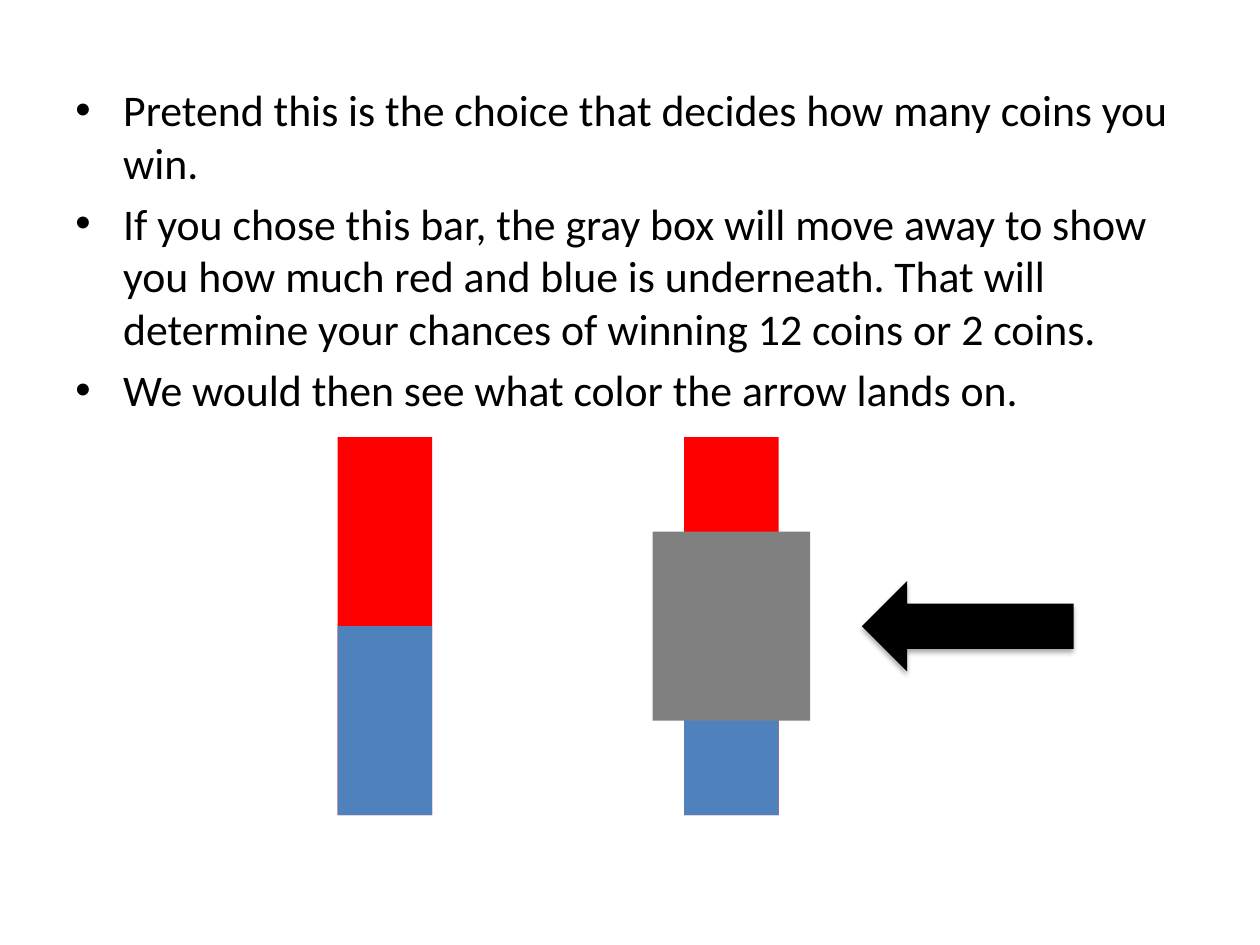
import pptx
import pptx.util
import pptx.oxml
import pptx.dml.color
import pptx.enum.shapes
import pptx.enum.text
from pptx.util import Inches

COLORS = {"red": "FF0000", "blue": "4F81BD", "gray": "808080", "black": "000000"}

# Content
BULLETS = [
    "Pretend this is the choice that decides how many coins you win.",
    "If you chose this bar, the gray box will move away to show you how much "
    "red and blue is underneath. That will determine your chances of winning "
    "12 coins or 2 coins.",
    "We would then see what color the arrow lands on.",
]
TEXT_FORMAT = {"name": "Calibri", "size": pptx.util.Pt(25)}
BARS = [  # left edge, covered by the gray box
    (2.68, False),
    (5.43, True),
]

# Geometry in inches
BAR_TOP, BAR_WIDTH, BAR_HEIGHT = 3.47, 0.75, 3
HALF = BAR_HEIGHT / 2
COVER_WIDTH = 1.25
ARROW_LEFT, ARROW_WIDTH, ARROW_HEIGHT = 6.84, 1.68, 0.72
INDENT = Inches(0.38)
SHADOW_BLUR, SHADOW_DISTANCE = pptx.util.Pt(3.1), pptx.util.Pt(1.8)

DRAWING = "http://schemas.openxmlformats.org/drawingml/2006/main"
SHAPES = pptx.enum.shapes.MSO_SHAPE


def add_block(shapes, preset, color, *place):
    block = shapes.add_shape(preset, *map(Inches, place))
    block.shadow.inherit = False
    block.fill.solid()
    block.fill.fore_color.rgb = pptx.dml.color.RGBColor.from_string(COLORS[color])
    block.line.fill.background()
    return block


def add_bar(page, left, covered):
    shapes = page.shapes.add_group_shape().shapes
    add_block(shapes, SHAPES.RECTANGLE, "red", left, BAR_TOP, BAR_WIDTH, BAR_HEIGHT)
    add_block(shapes, SHAPES.RECTANGLE, "blue", left, BAR_TOP + HALF, BAR_WIDTH, HALF)
    if covered:
        cover_left = left - (COVER_WIDTH - BAR_WIDTH) / 2
        add_block(shapes, SHAPES.RECTANGLE, "gray",
                  cover_left, BAR_TOP + HALF / 2, COVER_WIDTH, HALF)


def add_arrow(page):
    top = BAR_TOP + (BAR_HEIGHT - ARROW_HEIGHT) / 2
    arrow = add_block(page.shapes, SHAPES.LEFT_ARROW, "black",
                      ARROW_LEFT, top, ARROW_WIDTH, ARROW_HEIGHT)
    effects = arrow._element.spPr.find(f"{{{DRAWING}}}effectLst")
    effects.append(pptx.oxml.parse_xml(
        f'<a:outerShdw xmlns:a="{DRAWING}" blurRad="{SHADOW_BLUR}" '
        f'dist="{SHADOW_DISTANCE}" dir="5400000" rotWithShape="0">'
        f'<a:srgbClr val="{COLORS["black"]}"><a:alpha val="35000"/></a:srgbClr>'
        '</a:outerShdw>'))


def add_bullets(page):
    box = page.shapes.add_textbox(Inches(0.5), Inches(0.61), Inches(9), Inches(2.34))
    frame = box.text_frame
    frame.word_wrap = True
    frame.auto_size = pptx.enum.text.MSO_AUTO_SIZE.NONE
    for index, text in enumerate(BULLETS):
        para = frame.add_paragraph() if index else frame.paragraphs[0]
        para.space_before = pptx.util.Pt(5)
        props = para._p.get_or_add_pPr()
        props.set("marL", str(INDENT))
        props.set("indent", str(-INDENT))
        for tag, key, value in (("buFont", "typeface", "Arial"), ("buChar", "char", "•")):
            props.append(pptx.oxml.parse_xml(
                f'<a:{tag} xmlns:a="{DRAWING}" {key}="{value}"/>'))
        span = para.add_run()
        span.text = text
        for name, value in TEXT_FORMAT.items():
            setattr(span.font, name, value)
        span.font.color.rgb = pptx.dml.color.RGBColor.from_string(COLORS["black"])


def main():
    deck = pptx.Presentation()
    deck.slide_width, deck.slide_height = Inches(10), Inches(7.5)
    page = deck.slides.add_slide(deck.slide_layouts[6])

    # Instructions, both bars, then the arrow
    add_bullets(page)
    for left, covered in BARS:
        add_bar(page, left, covered)
    add_arrow(page)
    deck.save("out.pptx")


if __name__ == "__main__":
    main()
